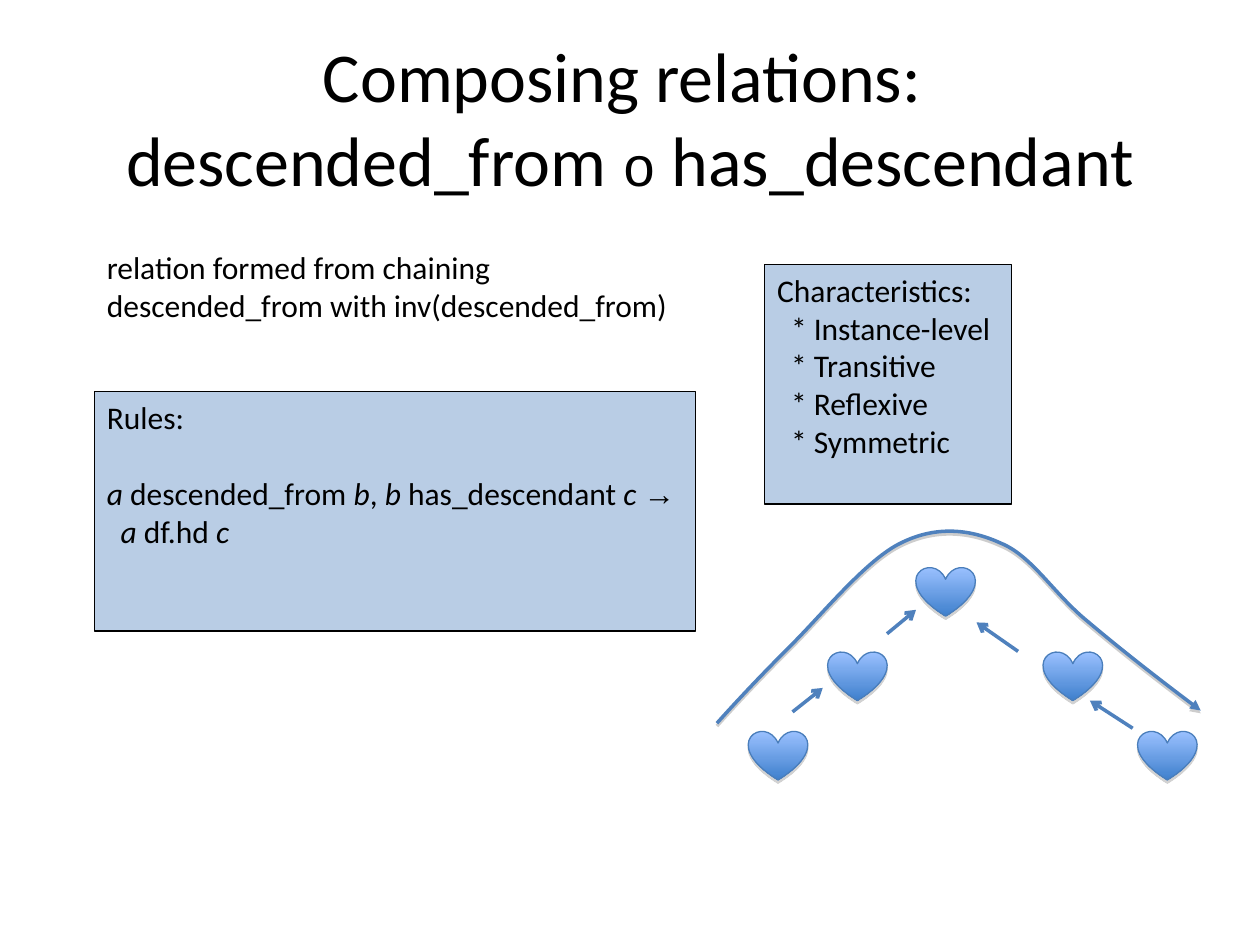
import pptx
import pptx.util
import pptx.dml.color
import pptx.enum.shapes
import pptx.enum.text
import pptx.oxml
import pptx.oxml.ns
from lxml import etree

Inches, Pt = pptx.util.Inches, pptx.util.Pt
RGBColor = pptx.dml.color.RGBColor
qn = pptx.oxml.ns.qn

BLACK = RGBColor(0x00, 0x00, 0x00)
PANEL_BLUE = RGBColor(0xB9, 0xCD, 0xE5)
HEART_TOP = RGBColor(0x9B, 0xC1, 0xFF)
HEART_BOTTOM = RGBColor(0x3F, 0x80, 0xCD)
HEART_EDGE = RGBColor(0x4A, 0x7E, 0xBB)
ARROW_BLUE = RGBColor(0x4F, 0x81, 0xBD)
SHADOW_GREY = RGBColor(0x80, 0x80, 0x80)

SLIDE_SIZE = (10, 7.5)
LEFT_COLUMN = 0.75
LINE_HEIGHT = 22  # points, one line of body text
INDENT = 0.11
PANEL_HEIGHT = 1.9

# Each run is (text, style); style "i" is italic, "arial" a symbol.
TITLE = [("Composing relations: \vdescended_from ", ""), ("o", "small"),
         (" has_descendant", "")]
INTRO = [
    {"runs": [("relation formed from chaining", "")]},
    {"runs": [("descended_from with inv(descended_from)", "")]},
]
CHARACTERISTICS = [{"runs": [("Characteristics:", "")]}] + [
    {"runs": [("* " + name, "")], "indent": INDENT}
    for name in ("Instance-level", "Transitive", "Reflexive", "Symmetric")
]
RULES = [
    {"runs": [("Rules:", "")], "after": LINE_HEIGHT},
    {"runs": [("a", "i"), (" descended_from ", ""), ("b", "i"), (", ", ""),
              ("b", "i"), (" has_descendant ", ""), ("c ", "i"), ("→", "arial")]},
    {"runs": [("a", "i"), (" df.hd ", ""), ("c", "i")], "indent": INDENT},
]

HEART_SIZE = (0.47, 0.39)
HEART_ROWS = {4.5: [7.27], 5.17: [6.57, 8.28], 5.8: [5.94, 9.03]}
DESCENT_ARROWS = [
    ((6.29, 5.65), (6.53, 5.46)), ((7.04, 5.03), (7.27, 4.84)),
    ((8.08, 5.17), (7.75, 4.94)), ((8.99, 5.78), (8.65, 5.56)),
]
# Start point, then two control points and an end point per curve segment.
COMPOSED_CURVE = [
    (5.69, 5.74),
    (5.87, 5.54), (6.05, 5.35), (6.29, 5.11),
    (6.53, 4.87), (6.88, 4.44), (7.15, 4.31),
    (7.43, 4.17), (7.70, 4.20), (7.94, 4.31),
    (8.19, 4.41), (8.36, 4.71), (8.63, 4.93),
    (8.89, 5.15), (9.21, 5.40), (9.53, 5.64),
]


def add_runs(paragraph, runs, size):
    for text, style in runs:
        if "\v" in text:
            first, text = text.split("\v")
            add_runs(paragraph, [(first, style)], size)
            paragraph.add_line_break()
        run = paragraph.add_run()
        run.text = text
        run.font.name = {"small": "Courier New", "arial": "Arial"}.get(style, "Calibri")
        run.font.size = Pt(size * 0.8 if style == "small" else size)
        run.font.italic = style == "i"
        run.font.color.rgb = BLACK


def fill_text(shape, lines):
    frame = shape.text_frame
    frame.word_wrap = True
    frame.margin_right = 0
    frame.vertical_anchor = pptx.enum.text.MSO_ANCHOR.TOP
    for index, line in enumerate(lines):
        paragraph = frame.add_paragraph() if index else frame.paragraphs[0]
        paragraph.alignment = pptx.enum.text.PP_ALIGN.LEFT
        paragraph.space_after = Pt(line.get("after", 0))
        if "indent" in line:
            paragraph._p.get_or_add_pPr().set("marL", str(Inches(line["indent"])))
        add_runs(paragraph, line["runs"], 18)


def add_panel(slide, left, top, width, lines):
    panel = slide.shapes.add_shape(
        pptx.enum.shapes.MSO_SHAPE.RECTANGLE,
        Inches(left), Inches(top), Inches(width), Inches(PANEL_HEIGHT))
    panel.shadow.inherit = False
    panel.fill.solid()
    panel.fill.fore_color.rgb = PANEL_BLUE
    style_line(panel, BLACK, 0.75)
    fill_text(panel, lines)


def style_line(shape, color, width, arrowhead=None):
    shape.line.color.rgb = color
    shape.line.width = Pt(width)
    if arrowhead:
        etree.SubElement(shape.line._get_or_add_ln(), qn("a:tailEnd"), type=arrowhead)


def add_drop_shadow(shape, opacity, distance):
    shape.shadow.inherit = False
    effects = shape._element.spPr.find(qn("a:effectLst"))
    shadow = etree.SubElement(effects, qn("a:outerShdw"), dist=str(Pt(distance)),
                              dir="5400000", rotWithShape="0")
    color = etree.SubElement(shadow, qn("a:srgbClr"), val=str(SHADOW_GREY))
    etree.SubElement(color, qn("a:alpha"), val=str(opacity * 1000))


def add_heart(slide, left, top):
    heart = slide.shapes.add_shape(
        pptx.enum.shapes.MSO_SHAPE.HEART,
        Inches(left), Inches(top), *map(Inches, HEART_SIZE))
    heart.fill.gradient()
    heart.fill.gradient_angle = 270
    for stop, position, color in zip(heart.fill.gradient_stops, (0, 1),
                                     (HEART_TOP, HEART_BOTTOM)):
        stop.position = position
        stop.color.rgb = color
    style_line(heart, HEART_EDGE, 0.75)
    add_drop_shadow(heart, 35, 1.8)


def add_arrow(slide, start, end):
    arrow = slide.shapes.add_connector(
        pptx.enum.shapes.MSO_CONNECTOR.STRAIGHT, *map(Inches, start + end))
    style_line(arrow, ARROW_BLUE, 2, "arrow")
    etree.SubElement(arrow._element.spPr, qn("a:effectLst"))


def add_curve(slide, points):
    """Draw a freeform through the points, each three forming a Bézier segment."""
    start, *rest = [(Inches(x), Inches(y)) for x, y in points]
    builder = slide.shapes.build_freeform(*start)
    builder.add_line_segments(rest, close=False)
    curve = builder.convert_to_shape()
    segments = list(curve._element.spPr.iter(qn("a:lnTo")))
    for first in range(0, len(segments), 3):
        bezier = etree.SubElement(segments[first].getparent(), qn("a:cubicBezTo"))
        for segment in segments[first:first + 3]:
            bezier.append(segment[0])
            segment.getparent().remove(segment)
    curve.fill.background()
    style_line(curve, ARROW_BLUE, 2, "triangle")
    add_drop_shadow(curve, 38, 1.6)


def main():
    presentation = pptx.Presentation()
    presentation.slide_width, presentation.slide_height = map(Inches, SLIDE_SIZE)
    slide = presentation.slides.add_slide(presentation.slide_layouts[5])

    title = slide.shapes.title
    title.left, title.top, title.width, title.height = map(Inches, (0.5, 0.3, 9, 1.25))
    add_runs(title.text_frame.paragraphs[0], TITLE, 40)

    add_panel(slide, 6.07, 2.1, 1.96, CHARACTERISTICS)
    add_panel(slide, LEFT_COLUMN, 3.11, 4.77, RULES)
    for top, lefts in HEART_ROWS.items():
        for left in lefts:
            add_heart(slide, left, top)
    for start, end in DESCENT_ARROWS:
        add_arrow(slide, start, end)
    add_curve(slide, COMPOSED_CURVE)

    intro = slide.shapes.add_textbox(*map(Inches, (LEFT_COLUMN, 1.92, 5, 0.7)))
    fill_text(intro, INTRO)
    presentation.save("out.pptx")


if __name__ == "__main__":
    main()
